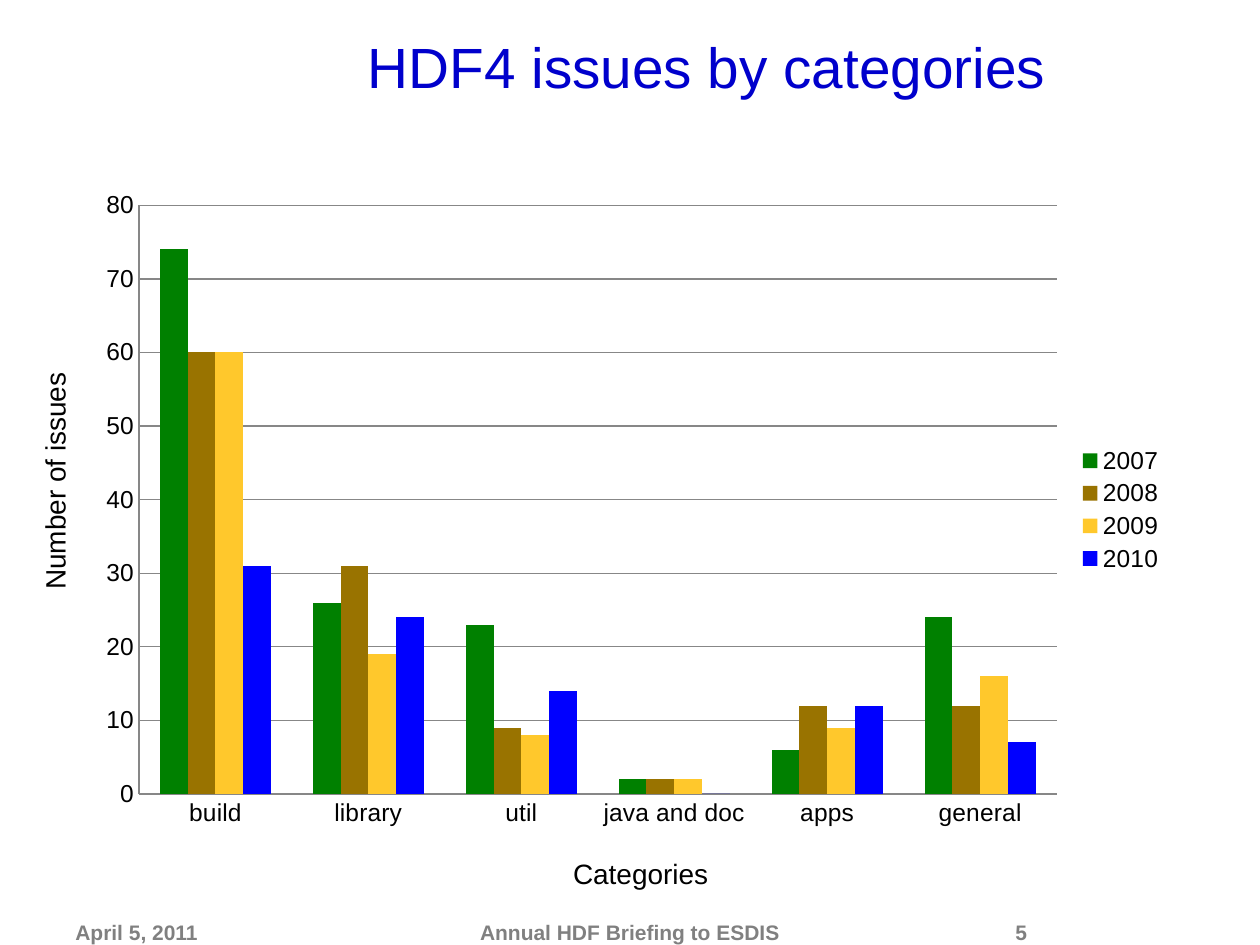
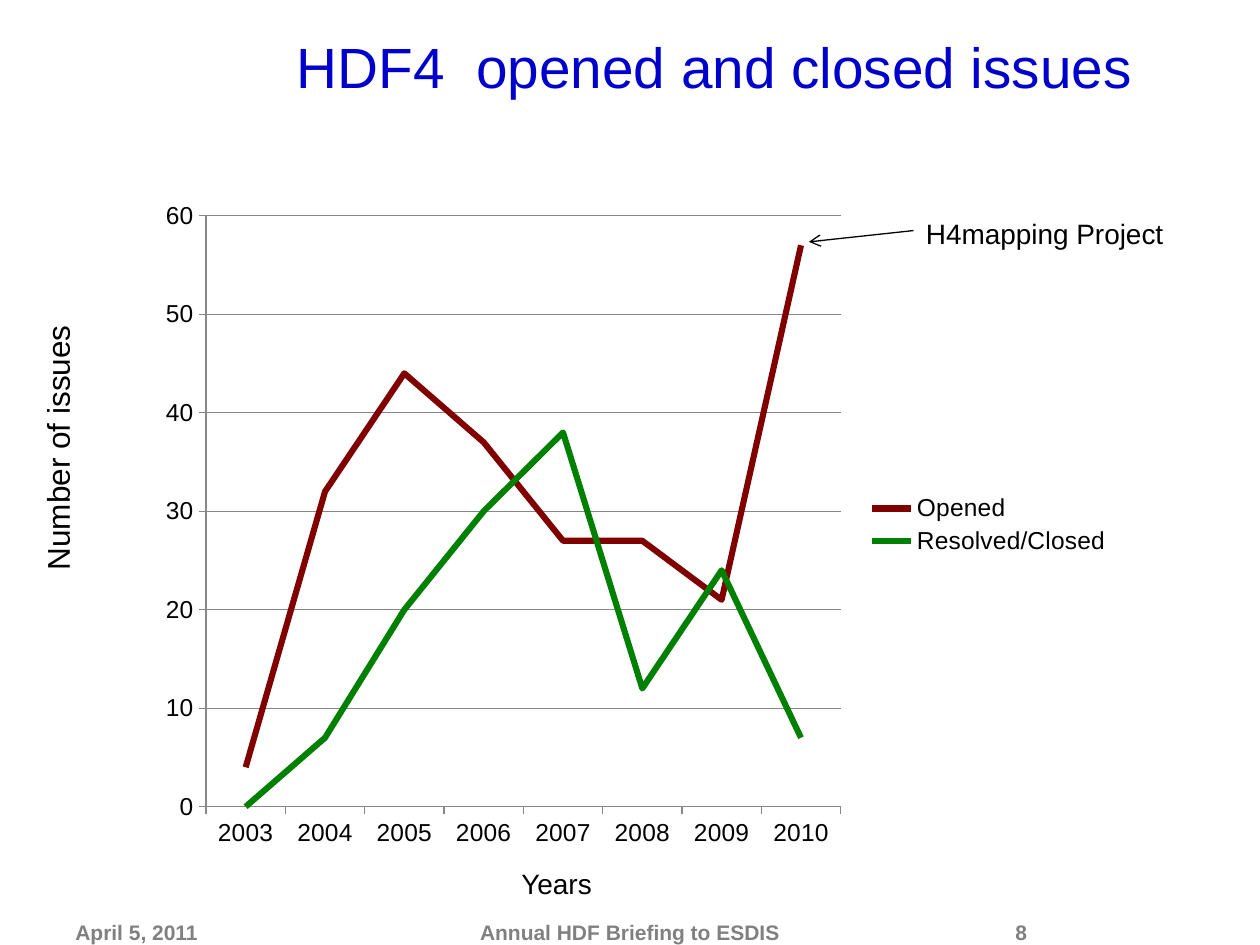
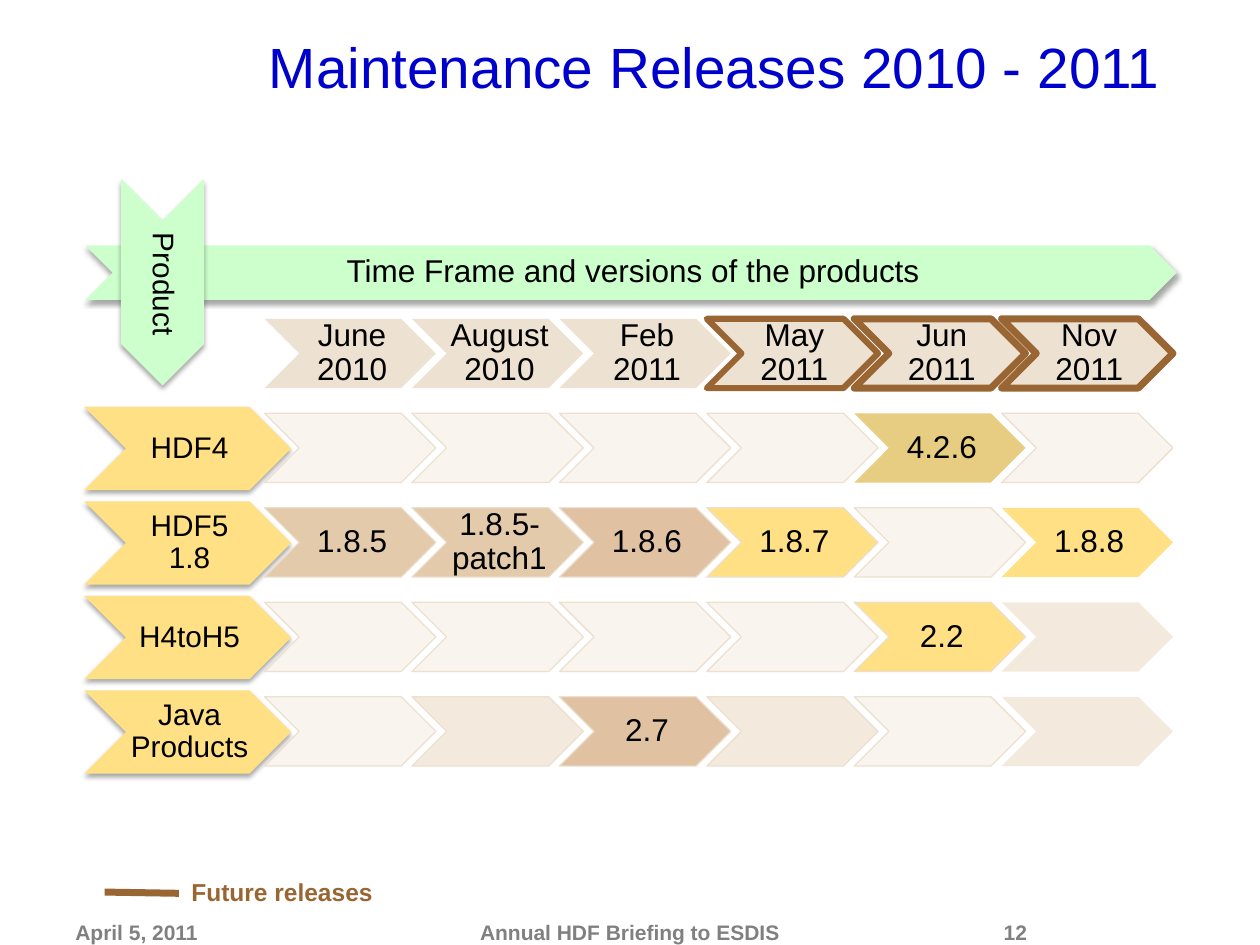
from pptx import Presentation
from pptx.chart.data import CategoryChartData
from pptx.dml.color import RGBColor
from pptx.enum.chart import XL_CHART_TYPE, XL_LEGEND_POSITION, XL_TICK_MARK
from pptx.enum.shapes import MSO_CONNECTOR, MSO_SHAPE
from pptx.enum.text import MSO_ANCHOR, MSO_AUTO_SIZE, PP_ALIGN
from pptx.oxml import parse_xml
from pptx.oxml.ns import nsdecls, qn
from pptx.util import Inches, Pt

FONT = "Arial"
HUES = {
    "title": "0000CC", "text": "000000", "foot": "808080", "grid": "878787",
    "green": "008000", "olive": "997300", "gold": "FFC82C", "blue": "0000FF",
    "red": "800000", "mint": "CCFFCC", "sand": "ECDECC", "brown": "996633",
    "yellow": "FFE085", "pale": "F9F4EE", "cream": "F3EADD",
    "tan": "E2CAAA", "clay": "E0C2A3", "straw": "E7CD81",
}


def hue(name):
    return RGBColor.from_string(HUES[name])


class Deck:
    """Holds the shared style and the current slide."""

    def __init__(self):
        self.prs = Presentation()
        self.prs.slide_width, self.prs.slide_height = Inches(10), Inches(7.5)
        self.slide = None

    def page(self, title, number):
        self.slide = self.prs.slides.add_slide(self.prs.slide_layouts[6])
        self.text(title, (1.42, 0.17, 8.5, 0.67), 32.4, "title",
                  align=PP_ALIGN.CENTER, anchor=MSO_ANCHOR.BOTTOM)
        # Footer
        for words, left, width, align in (
                ("April 5, 2011", 0.5, 2, PP_ALIGN.LEFT),
                (str(number), 7.42, 0.83, PP_ALIGN.RIGHT),
                ("Annual HDF Briefing to ESDIS", 2.75, 4.5, PP_ALIGN.CENTER)):
            self.text(words, (left, 7.25, width, 0.25), 12, "foot", True, align)

    def fill_text(self, frame, words, size, color, bold, align, anchor):
        frame.text = words
        frame.vertical_anchor = anchor
        para = frame.paragraphs[0]
        para.alignment = align
        for run in para.runs:
            font = run.font
            font.name, font.size, font.bold = FONT, Pt(size), bold
            font.color.rgb = hue(color)
        return para

    def text(self, words, box, size, color="text", bold=False,
             align=PP_ALIGN.LEFT, anchor=MSO_ANCHOR.TOP):
        shape = self.slide.shapes.add_textbox(*map(Inches, box))
        shape.text_frame.word_wrap = True
        self.fill_text(shape.text_frame, words, size, color, bold, align, anchor)
        return shape

    def label(self, words, box, size=16, color="text", bold=False, turn=0):
        shape = self.text(words, box, size, color, bold)
        shape.text_frame.word_wrap = False
        shape.text_frame.auto_size = MSO_AUTO_SIZE.SHAPE_TO_FIT_TEXT
        shape.rotation = turn

    def line(self, start, end, color, width, arrow=False):
        link = self.slide.shapes.add_connector(
            MSO_CONNECTOR.STRAIGHT, *map(Inches, start + end))
        link.line.color.rgb = hue(color)
        link.line.width = Pt(width)
        props = link.element.spPr
        if arrow:
            props.find(qn("a:ln")).append(parse_xml(
                f'<a:tailEnd {nsdecls("a")} type="arrow"/>'))
        props.append(parse_xml(f'<a:effectLst {nsdecls("a")}/>'))

    def chevron(self, words, box, fill, size=18, edge=None, width=0.75,
                shade=False, turn=0):
        shape = self.slide.shapes.add_shape(MSO_SHAPE.CHEVRON, *map(Inches, box))
        shape.rotation = turn
        shape.shadow.inherit = False
        shape.fill.solid()
        shape.fill.fore_color.rgb = hue(fill)
        if edge:
            shape.line.color.rgb = hue(edge)
            shape.line.width = Pt(width)
        else:
            shape.line.fill.background()
        props = shape.element.spPr
        # Sand is slightly see-through
        for tone in props.iter(qn("a:srgbClr")):
            if tone.get("val") == HUES["sand"]:
                tone.append(parse_xml(f'<a:alpha {nsdecls("a")} val="90000"/>'))
        if shade:
            props.find(qn("a:effectLst")).append(parse_xml(
                f'<a:outerShdw {nsdecls("a")} blurRad="{Pt(3.1)}" dist="{Pt(1.8)}" '
                'dir="5400000" rotWithShape="0"><a:srgbClr val="000000">'
                '<a:alpha val="35000"/></a:srgbClr></a:outerShdw>'))
        if words:
            frame = shape.text_frame
            frame.word_wrap = True
            frame.margin_left, frame.margin_right = Inches(0.03), 0
            frame.margin_top = frame.margin_bottom = Inches(0.01)
            para = self.fill_text(frame, words, size, "text", False,
                                  PP_ALIGN.CENTER, MSO_ANCHOR.MIDDLE)
            para.line_spacing = 0.9

    def chart(self, kind, box, cats, series, top, tick, plot_box):
        data = CategoryChartData()
        data.categories = cats
        for name, _, vals in series:
            data.add_series(name, vals)
        chart = self.slide.shapes.add_chart(kind, *map(Inches, box), data).chart
        chart.has_title = False
        chart.font.name, chart.font.size = FONT, Pt(14)
        chart.font.color.rgb = hue("text")
        chart.has_legend = True
        chart.legend.position = XL_LEGEND_POSITION.RIGHT
        chart.legend.include_in_layout = False
        # Axes
        scale = chart.value_axis
        scale.minimum_scale, scale.maximum_scale, scale.major_unit = 0, top, 10
        scale.has_major_gridlines = True
        chart.category_axis.has_major_gridlines = False
        for axis in (scale, chart.category_axis):
            axis.major_tick_mark, axis.minor_tick_mark = tick, XL_TICK_MARK.NONE
        for part in (scale, scale.major_gridlines, chart.category_axis):
            part.format.line.color.rgb = hue("grid")
            part.format.line.width = Pt(0.75)
        # Series
        plot = chart.plots[0]
        plot.vary_by_categories = False
        for item, (_, color, _) in zip(plot.series, series):
            if kind == XL_CHART_TYPE.LINE:
                item.smooth = False
                item.format.line.color.rgb = hue(color)
                item.format.line.width = Pt(3.5)
            else:
                plot.gap_width = 150
                item.format.fill.solid()
                item.format.fill.fore_color.rgb = hue(color)
        # Plot area, in shares of the chart
        area = chart.element.find(".//" + qn("c:plotArea"))
        for old in area.findall(qn("c:layout")):
            area.remove(old)
        spots = "".join(f'<c:{key} val="{share}"/>'
                        for key, share in zip("xywh", plot_box))
        area.insert(0, parse_xml(
            f'<c:layout {nsdecls("c")}><c:manualLayout>'
            '<c:layoutTarget val="inner"/><c:xMode val="edge"/>'
            f'<c:yMode val="edge"/>{spots}</c:manualLayout></c:layout>'))


def topics(deck):
    deck.page("HDF4 issues by categories ", 5)
    deck.chart(
        XL_CHART_TYPE.COLUMN_CLUSTERED, (0.67, 1.42, 8.67, 5.25),
        ["build", "library", "util", "java and doc", "apps", "general"],
        [("2007", "green", (74, 26, 23, 2, 6, 24)),
         ("2008", "olive", (60, 31, 9, 2, 12, 12)),
         ("2009", "gold", (60, 19, 8, 2, 9, 16)),
         ("2010", "blue", (31, 24, 14, 0, 12, 7))],
        80, XL_TICK_MARK.NONE, (0.05, 0.04, 0.84, 0.89))
    deck.label("Categories", (4.45, 6.75, 1.29, 0.37))
    deck.label("Number of issues", (-0.54, 3.62, 1.95, 0.37), turn=270)


def trends(deck):
    deck.page("HDF4  opened and closed issues", 8)
    deck.label("Number of issues", (-0.63, 3.34, 2.17, 0.4), 18, turn=270)
    deck.chart(
        XL_CHART_TYPE.LINE, (1.17, 1.5, 7.75, 5.33),
        [str(year) for year in range(2003, 2011)],
        [("Opened", "red", (4, 32, 44, 37, 27, 27, 21, 57)),
         ("Resolved/Closed", "green", (0, 7, 20, 30, 38, 12, 24, 7))],
        60, XL_TICK_MARK.OUTSIDE, (0.06, 0.04, 0.65, 0.88))
    deck.label("Years", (4.04, 6.83, 0.77, 0.37))
    deck.label("H4mapping Project", (7.25, 1.67, 2.11, 0.37))
    deck.line((7.25, 1.83), (6.42, 1.92), "text", 0.75, arrow=True)


def plans(deck):
    deck.page("Maintenance Releases 2010 - 2011", 12)
    # Headings
    deck.chevron("Time Frame and versions of the products",
                 (0.68, 1.95, 8.66, 0.43), "mint", shade=True)
    deck.chevron("Product", (0.47, 1.91, 1.64, 0.66), "mint", 17,
                 shade=True, turn=90)

    def cell(row, col):
        return 2.1 + 1.17 * col, 2.53 + 0.75 * row, 1.36, 0.55

    # Dates; future ones have a brown edge
    dates = [("June 2010", 0), ("August 2010", 0), ("Feb 2011", 0),
             ("May 2011", 3.5), ("Jun 2011", 4), ("Nov 2011", 4)]
    for col, (date, width) in enumerate(dates):
        deck.chevron(date, cell(0, col), "sand",
                     edge="brown" if width else None, width=width)

    # Products, each with the cells that are not plain, by column
    rows = [
        ("HDF4", {4: ("4.2.6", "straw")}),
        ("HDF5 1.8", {0: ("1.8.5", "tan"), 1: ("1.8.5-patch1", "tan"),
                      2: ("1.8.6", "clay"), 3: ("1.8.7", "yellow"),
                      5: ("1.8.8", "yellow")}),
        ("H4toH5", {4: ("2.2", "yellow"), 5: ("", "cream")}),
        ("Java Products", {1: ("", "cream"), 2: ("2.7", "clay"),
                           3: ("", "cream"), 5: ("", "cream")}),
    ]
    bare = {(1, 4), (2, 5), (3, 5), (4, 5)}
    for row, (product, marks) in enumerate(rows, 1):
        deck.chevron(product, (0.67, 2.48 + 0.75 * row, 1.64, 0.66),
                     "yellow", 17, shade=True)
        for col in range(len(dates)):
            words, fill = marks.get(col, ("", "pale"))
            deck.chevron(words, cell(row, col), fill,
                         edge=None if (row, col) in bare else "sand")

    # Key
    deck.line((0.83, 7.08), (1.42, 7.09), "brown", 4)
    deck.label("Future releases", (1.42, 6.91, 1.65, 0.34), 14, "brown", True)


def main():
    deck = Deck()
    for build in (topics, trends, plans):
        build(deck)
    deck.prs.save("out.pptx")


if __name__ == "__main__":
    main()
